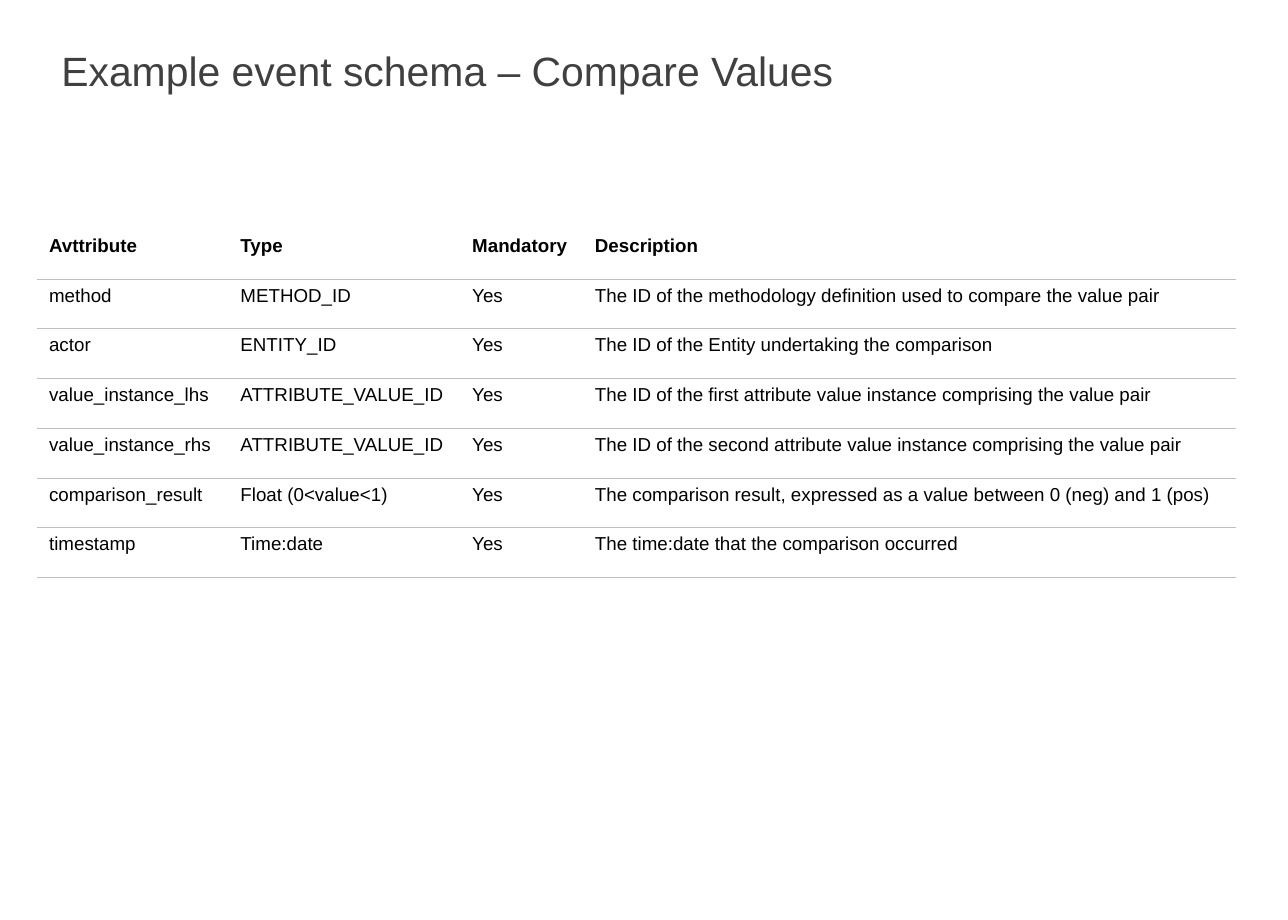
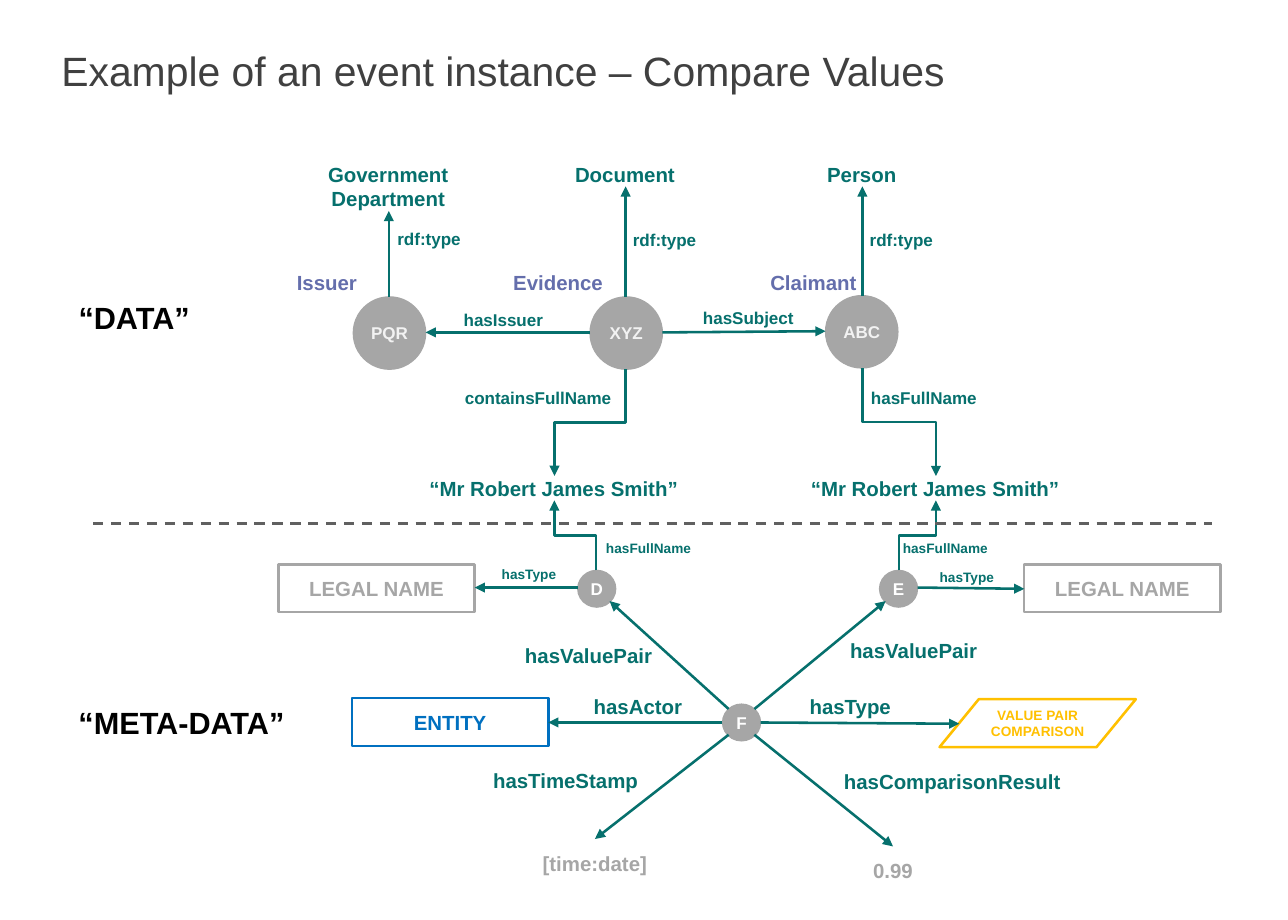
"""Build the schema table and the instance diagram for the Compare Values event."""
import dataclasses

import lxml.etree
import pptx
import pptx.dml.color
import pptx.enum.dml
import pptx.enum.shapes
import pptx.enum.text
import pptx.oxml.ns
import pptx.util

Inches = pptx.util.Inches
Pt = pptx.util.Pt
Shapes = pptx.enum.shapes.MSO_SHAPE
Connectors = pptx.enum.shapes.MSO_CONNECTOR
Align = pptx.enum.text.PP_ALIGN
Anchor = pptx.enum.text.MSO_ANCHOR
AutoSize = pptx.enum.text.MSO_AUTO_SIZE
qn = pptx.oxml.ns.qn


@dataclasses.dataclass(frozen=True)
class Theme:
    font: str = "Arial"
    title: str = "404040"
    ink: str = "000000"
    rule: str = "BFBFBF"
    teal: str = "06706D"
    violet: str = "646EAC"
    grey: str = "A6A6A6"
    pale: str = "F2F2F2"
    white: str = "FFFFFF"
    blue: str = "0070C0"
    amber: str = "FFC000"
    dash: str = "606060"
    title_size: int = 24
    section_size: int = 18
    label_size: int = 12
    table_size: int = 11
    link_size: int = 10
    small_size: int = 8
    thin: float = 0.75
    thick: float = 1.5


THEME = Theme()
PLAIN_TABLE = "{2D5ABB26-0587-4C30-8999-92F81FD0307C}"

SCHEMA_TITLE = "Example event schema – Compare Values"
SCHEMA_BOX = (0.3, 1.87, 9.78, 2.84)
SCHEMA_WIDTHS = (1.56, 1.89, 1, 5.33)
SCHEMA = [
    ("Avttribute", "Type", "Mandatory", "Description"),
    ("method", "METHOD_ID", "Yes",
     "The ID of the methodology definition used to compare the value pair"),
    ("actor", "ENTITY_ID", "Yes", "The ID of the Entity undertaking the comparison"),
    ("value_instance_lhs", "ATTRIBUTE_VALUE_ID", "Yes",
     "The ID of the first attribute value instance comprising the value pair"),
    ("value_instance_rhs", "ATTRIBUTE_VALUE_ID", "Yes",
     "The ID of the second attribute value instance comprising the value pair"),
    ("comparison_result", "Float (0<value<1)", "Yes",
     "The comparison result, expressed as a value between 0 (neg) and 1 (pos)"),
    ("timestamp", "Time:date", "Yes", "The time:date that the comparison occurred"),
]

INSTANCE_TITLE = "Example of an event instance – Compare Values"
DATA_NODES = [("PQR", 2.88, 2.42), ("XYZ", 4.81, 2.42), ("ABC", 6.73, 2.41)]
EVENT_NODES = [("D", 4.71, 4.65), ("E", 7.17, 4.65), ("F", 5.89, 5.74)]
DATA_NODE_SIZE = (0.59, 0.59)
EVENT_NODE_SIZE = (0.31, 0.3)
VALUE_BOX_SIZE = (1.6, 0.39)
VALUE_BOXES = [
    ("LEGAL NAME", 2.27, 4.6, THEME.grey, THEME.grey),
    ("LEGAL NAME", 8.35, 4.6, THEME.grey, THEME.grey),
    ("ENTITY", 2.87, 5.69, THEME.blue, THEME.blue),
    ("[time:date]", 4.05, 6.84, THEME.grey, None),
    ("0.99", 6.48, 6.9, THEME.grey, None),
]
COMPARISON = ("VALUE PAIR COMPARISON", 7.66, 5.7)

CLASS_LABELS = [
    ("Government Department", 2.67, 1.32, 0.99, 2),
    ("Document", 4.6, 1.32, 0.99),
    ("Person", 6.53, 1.32, 0.99),
    ("“Mr Robert James Smith”", 3.45, 3.88, 2.13),
    ("“Mr Robert James Smith”", 6.56, 3.88, 2.13),
]
ROLE_LABELS = [("Issuer", 2.42, 2.2, 1.5), ("Claimant", 6.28, 2.2, 1.5)]
CENTRED_ROLES = [("Evidence", 3.8, 2.2, 1.5)]
DATA_LINKS = [
    ("rdf:type", 3.24, 1.86, 0.86),
    ("rdf:type", 5.16, 1.87, 0.86),
    ("rdf:type", 7.09, 1.87, 0.86),
    ("hasIssuer", 3.78, 2.52, 0.69),
    ("containsFullName", 3.79, 3.16, 1.25),
    ("hasFullName", 7.1, 3.16, 1.12),
]
CENTRED_LINKS = [("hasSubject", 5.67, 2.51, 0.86)]
EVENT_LINKS = [
    ("hasValuePair", 4.28, 5.24, 1.63),
    ("hasValuePair", 6.93, 5.2, 2.03),
    ("hasActor", 4.84, 5.66, 1.17),
    ("hasType", 6.6, 5.66, 0.99),
    ("hasTimeStamp", 4.02, 6.26, 1.63),
    ("hasComparisonResult", 6.88, 6.27, 2.1),
]
NAME_LINKS = [
    ("hasFullName", 4.94, 4.4, 0.99),
    ("hasFullName", 7.36, 4.4, 0.99),
    ("hasType", 4.09, 4.61, 0.99),
    ("hasType", 7.66, 4.64, 0.99),
]
SECTIONS = [("“DATA”", 0.64, 2.44, 0.92), ("“META-DATA”", 0.64, 5.74, 1.7)]
LABEL_GROUPS = [
    (CLASS_LABELS, THEME.label_size, THEME.teal, Align.CENTER, True),
    (ROLE_LABELS, THEME.label_size, THEME.violet, Align.LEFT, True),
    (CENTRED_ROLES, THEME.label_size, THEME.violet, Align.CENTER, True),
    (DATA_LINKS, THEME.link_size, THEME.teal, Align.LEFT, True),
    (CENTRED_LINKS, THEME.link_size, THEME.teal, Align.CENTER, True),
    (EVENT_LINKS, THEME.label_size, THEME.teal, Align.LEFT, True),
    (NAME_LINKS, THEME.small_size, THEME.teal, Align.LEFT, True),
    (SECTIONS, THEME.section_size, THEME.ink, Align.LEFT, False),
]

STRAIGHT_ARROWS = [
    ((3.17, 2.42), (3.17, 1.72)),
    ((5.1, 2.42), (5.1, 1.52)),
    ((7.03, 2.41), (7.03, 1.52)),
    ((4.81, 2.71), (3.47, 2.71)),
    ((5.4, 2.71), (6.73, 2.7)),
    ((4.71, 4.79), (3.87, 4.79)),
    ((7.48, 4.79), (8.35, 4.8)),
    ((5.94, 5.78), (4.97, 4.9)),
    ((6.15, 5.78), (7.22, 4.9)),
    ((5.89, 5.89), (4.47, 5.89)),
    ((6.2, 5.89), (7.82, 5.9)),
    ((5.94, 5.99), (4.85, 6.84)),
    ((6.15, 5.99), (7.28, 6.9)),
]
BENT_ARROWS = [
    ((5.1, 3.01), (4.52, 3.88)),
    ((7.03, 3), (7.63, 3.88)),
    ((4.86, 4.65), (4.52, 4.08)),
    ((7.33, 4.65), (7.63, 4.08)),
]
DIVIDER = ((0.76, 4.27), (9.88, 4.27))


def rgb(value):
    return pptx.dml.color.RGBColor.from_string(value)


def write(frame, text, size, color, bold=True, align=Align.LEFT,
          anchor=Anchor.TOP, margin=0, spacing=None, wrap=True):
    frame.word_wrap = wrap
    frame.vertical_anchor = anchor
    frame.margin_left = frame.margin_right = Inches(margin)
    frame.margin_top = frame.margin_bottom = Inches(margin)
    para = frame.paragraphs[0]
    para.alignment = align
    para.line_spacing = spacing
    add_span(para, text, size, color, bold)


def add_span(para, text, size, color, bold):
    span = para.add_run()
    span.text = text
    span.font.name = THEME.font
    span.font.size = Pt(size)
    span.font.bold = bold
    span.font.color.rgb = rgb(color)


def add_page(deck, text):
    page = deck.slides.add_slide(deck.slide_layouts[5])
    title = page.shapes.title
    title.left, title.top, title.width, title.height = map(Inches, (0.5, 0.42, 9.5, 0.83))
    title.text_frame.auto_size = AutoSize.NONE
    write(title.text_frame, text, THEME.title_size, THEME.title, bold=False, spacing=0.88)
    return page


def add_bottom_rule(cell):
    edge = lxml.etree.Element(qn("a:lnB"), w=str(Pt(THEME.thin)))
    fill = lxml.etree.SubElement(edge, qn("a:solidFill"))
    lxml.etree.SubElement(fill, qn("a:srgbClr"), val=THEME.rule)
    cell._tc.get_or_add_tcPr().insert(0, edge)


def add_schema(page):
    frame = page.shapes.add_table(len(SCHEMA), len(SCHEMA_WIDTHS), *map(Inches, SCHEMA_BOX))
    table = frame.table
    table.horz_banding = False
    table._tbl.tblPr.find(qn("a:tableStyleId")).text = PLAIN_TABLE
    for column, width in zip(table.columns, SCHEMA_WIDTHS):
        column.width = Inches(width)
    for row, values in enumerate(SCHEMA):
        for column, value in enumerate(values):
            cell = table.cell(row, column)
            cell.fill.background()
            add_bottom_rule(cell)
            add_span(cell.text_frame.paragraphs[0], value, THEME.table_size,
                     THEME.ink, bold=row == 0)


def add_box(page, kind, place, text, size, color, fill, line, width, margin=0.08):
    box = page.shapes.add_shape(kind, *map(Inches, place))
    box.shadow.inherit = False
    if fill:
        box.fill.solid()
        box.fill.fore_color.rgb = rgb(fill)
    else:
        box.fill.background()
    if line:
        box.line.color.rgb = rgb(line)
        box.line.width = Pt(width)
    else:
        box.line.fill.background()
    write(box.text_frame, text, size, color, align=Align.CENTER,
          anchor=Anchor.MIDDLE, margin=margin)


def add_label(page, size, color, align, wrap, text, left, top, width, lines=1):
    height = size * 1.2 / 72 * lines
    box = page.shapes.add_textbox(*map(Inches, (left, top, width, height)))
    write(box.text_frame, text, size, color, align=align, wrap=wrap)
    box.text_frame.auto_size = AutoSize.SHAPE_TO_FIT_TEXT


def add_line(page, start, end, color=THEME.teal, kind=Connectors.STRAIGHT, arrow=True):
    line = page.shapes.add_connector(kind, *map(Inches, (*start, *end)))
    line.line.color.rgb = rgb(color)
    line.line.width = Pt(THEME.thick)
    if arrow:
        lxml.etree.SubElement(line.line._get_or_add_ln(), qn("a:tailEnd"), type="triangle")
    lxml.etree.SubElement(line._element.spPr, qn("a:effectLst"))
    return line


def add_bent_arrow(page, start, end):
    across, down = end[0] - start[0], end[1] - start[1]
    middle_x, middle_y = (start[0] + end[0]) / 2, (start[1] + end[1]) / 2
    reach = abs(down) / 2
    rise = abs(across) / 2 * (-1 if across * down > 0 else 1)
    line = add_line(page, (middle_x - reach, middle_y - rise),
                    (middle_x + reach, middle_y + rise), kind=Connectors.ELBOW)
    turn = 90 if down > 0 else 270
    line._element.spPr.find(qn("a:xfrm")).set("rot", str(turn * 60000))


def add_diagram(page):
    for nodes, extent, color in ((DATA_NODES, DATA_NODE_SIZE, THEME.pale),
                                 (EVENT_NODES, EVENT_NODE_SIZE, THEME.white)):
        for text, left, top in nodes:
            add_box(page, Shapes.OVAL, (left, top, *extent), text, THEME.link_size,
                    color, THEME.grey, THEME.grey, THEME.thin, margin=0)
    for text, left, top, color, line in VALUE_BOXES:
        add_box(page, Shapes.RECTANGLE, (left, top, *VALUE_BOX_SIZE), text,
                THEME.label_size, color, THEME.white, line, THEME.thick)
    text, left, top = COMPARISON
    add_box(page, Shapes.FLOWCHART_DATA, (left, top, *VALUE_BOX_SIZE), text,
            THEME.small_size, THEME.amber, None, THEME.amber, THEME.thick)
    for labels, *style in LABEL_GROUPS:
        for label in labels:
            add_label(page, *style, *label)
    for start, end in STRAIGHT_ARROWS:
        add_line(page, start, end)
    for start, end in BENT_ARROWS:
        add_bent_arrow(page, start, end)
    divider = add_line(page, *DIVIDER, color=THEME.dash, arrow=False)
    divider.line.dash_style = pptx.enum.dml.MSO_LINE.DASH


deck = pptx.Presentation()
deck.slide_width, deck.slide_height = Inches(10.5), Inches(7.5)
add_schema(add_page(deck, SCHEMA_TITLE))
add_diagram(add_page(deck, INSTANCE_TITLE))
deck.save("out.pptx")
